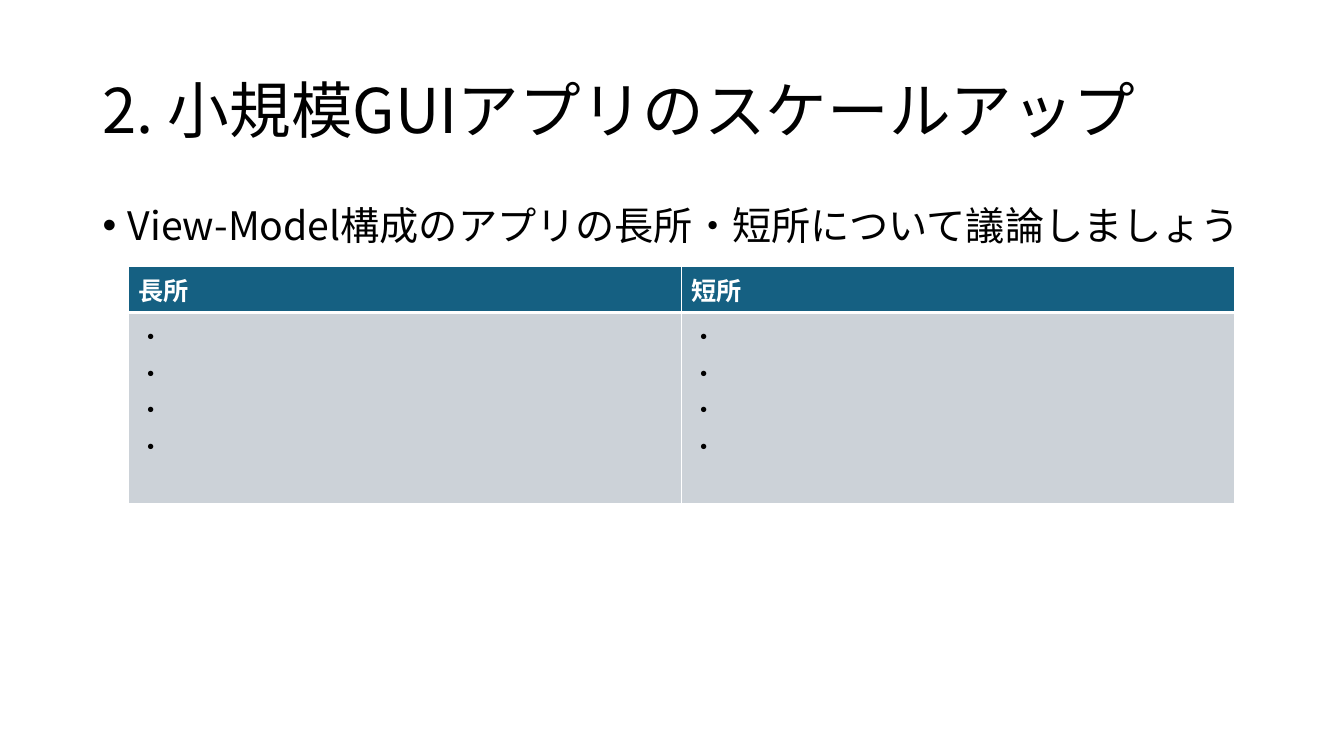
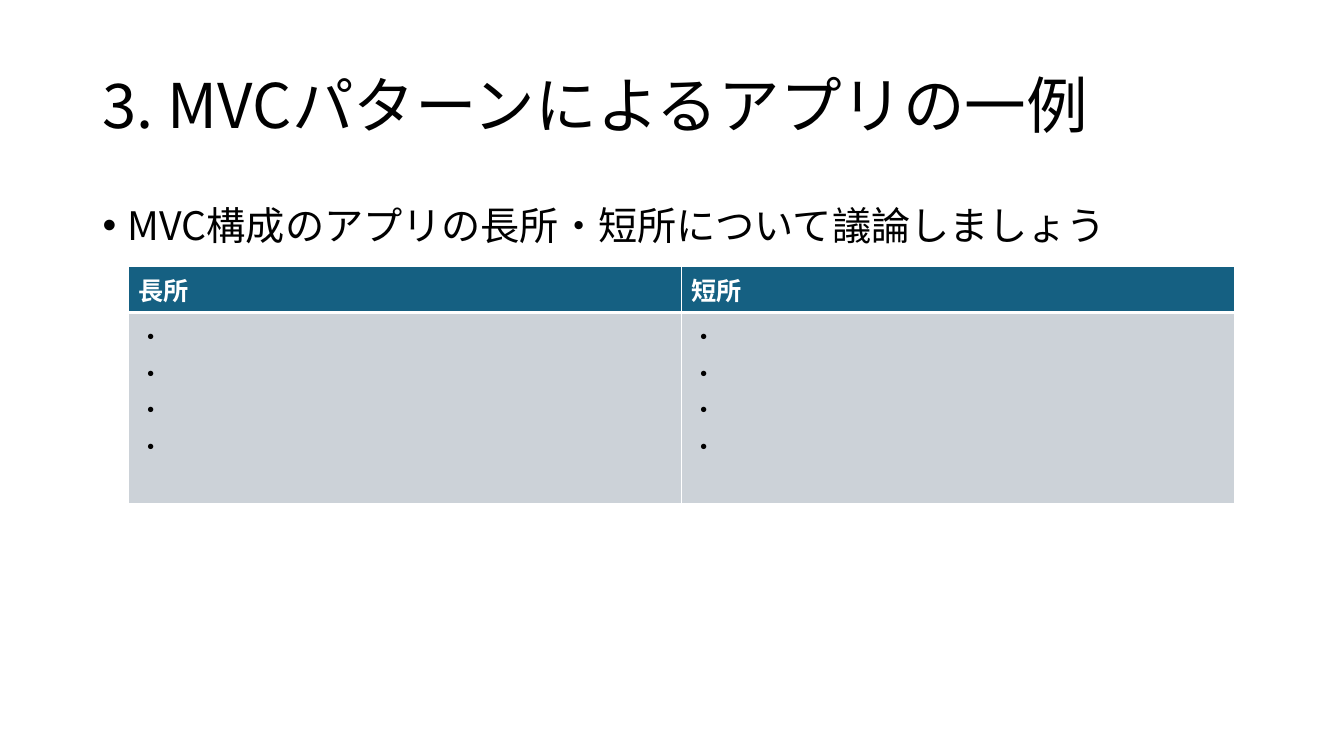
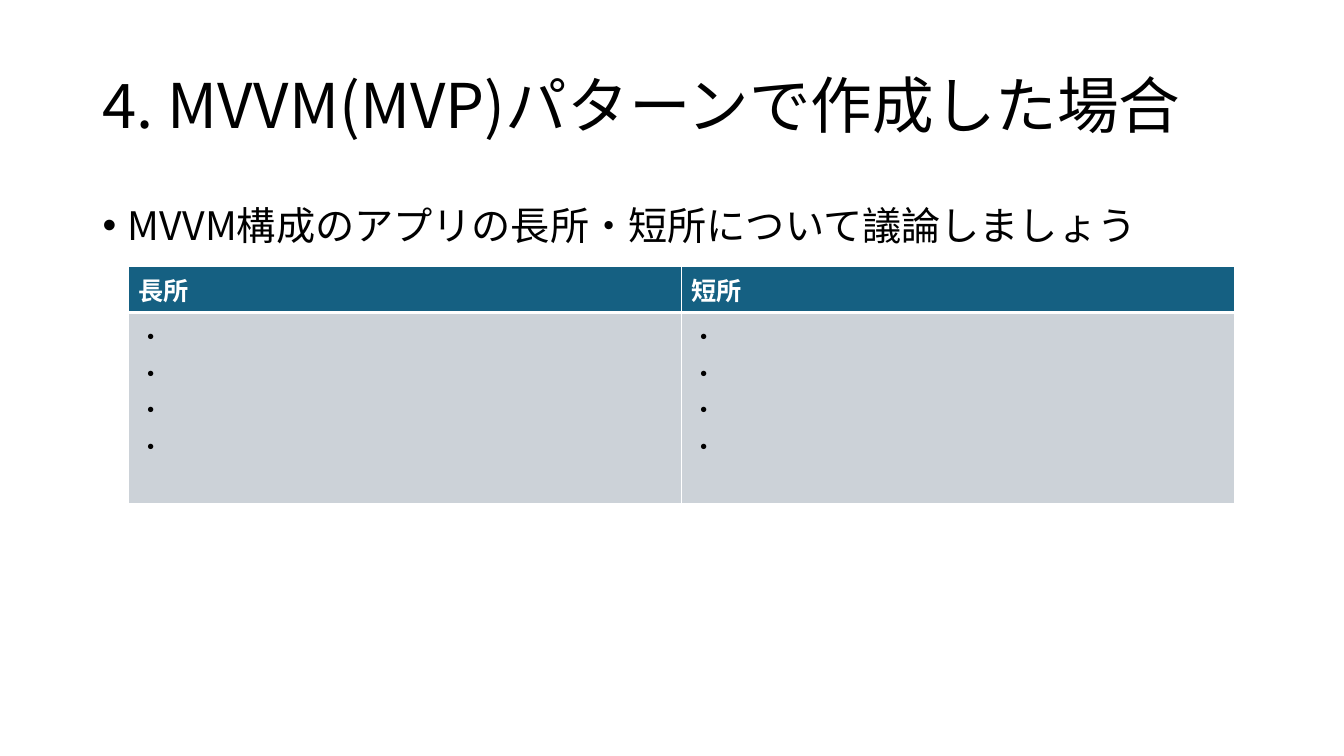
from dataclasses import dataclass

import lxml.etree
import pptx
import pptx.dml.color
import pptx.enum.text
import pptx.oxml.ns
import pptx.util

Inches = pptx.util.Inches
Pt = pptx.util.Pt
qn = pptx.oxml.ns.qn


@dataclass(frozen=True)
class Theme:
    font: str = "Noto Sans CJK JP"
    ink: str = "000000"
    paper: str = "FFFFFF"
    header_fill: str = "156082"
    body_fill: str = "CCD2D8"
    title_size: int = 44
    topic_size: int = 28
    table_size: int = 18
    line_spacing: float = 0.9
    thin_border: float = 1
    thick_border: float = 3


@dataclass(frozen=True)
class Discussion:
    title: str
    topic: str
    title_top: float = 0.35


THEME = Theme()
COLUMN_HEADINGS = ("長所", "短所")
ENTRY_MARKS = ("・",) * 4
DISCUSSIONS = (
    Discussion("2. 小規模GUIアプリのスケールアップ",
               "View-Model構成のアプリの長所・短所について議論しましょう", 0.4),
    Discussion("3. MVCパターンによるアプリの一例",
               "MVC構成のアプリの長所・短所について議論しましょう"),
    Discussion("4. MVVM(MVP)パターンで作成した場合",
               "MVVM構成のアプリの長所・短所について議論しましょう"),
)


def rgb(color: str) -> pptx.dml.color.RGBColor:
    return pptx.dml.color.RGBColor.from_string(color)


# Text
def add_span(para, text: str, size: int, color: str, bold: bool = False) -> None:
    span = para.add_run()
    span.text = text
    span.font.name = THEME.font
    span.font.size = Pt(size)
    span.font.bold = bold
    span.font.color.rgb = rgb(color)
    east_asian = lxml.etree.SubElement(span.font._element, qn("a:ea"))
    east_asian.set("typeface", THEME.font)


def add_text(page, left: float, top: float, width: float, height: float,
             text: str, size: int, anchor):
    box = page.shapes.add_textbox(Inches(left), Inches(top), Inches(width), Inches(height))
    box.text_frame.word_wrap = True
    box.text_frame.vertical_anchor = anchor
    para = box.text_frame.paragraphs[0]
    para.line_spacing = THEME.line_spacing
    add_span(para, text, size, THEME.ink)
    return para


def set_bullet(para, indent: float) -> None:
    properties = para._p.get_or_add_pPr()
    properties.set("marL", str(Inches(indent)))
    properties.set("indent", str(-Inches(indent)))
    font = lxml.etree.SubElement(properties, qn("a:buFont"))
    font.set("typeface", "Arial")
    bullet = lxml.etree.SubElement(properties, qn("a:buChar"))
    bullet.set("char", "•")


# Table
def set_border(cell, side: str, width: float) -> None:
    line = lxml.etree.SubElement(cell._tc.get_or_add_tcPr(), qn(f"a:ln{side}"))
    line.set("w", str(Pt(width)))
    fill = lxml.etree.SubElement(line, qn("a:solidFill"))
    lxml.etree.SubElement(fill, qn("a:srgbClr")).set("val", THEME.paper)


def fill_cell(cell, lines: tuple[str, ...], is_header: bool) -> None:
    divider = "B" if is_header else "T"
    for side in "LRTB":
        set_border(cell, side, THEME.thick_border if side == divider else THEME.thin_border)
    cell.fill.solid()
    cell.fill.fore_color.rgb = rgb(THEME.header_fill if is_header else THEME.body_fill)
    color = THEME.paper if is_header else THEME.ink
    for index, text in enumerate(lines):
        para = cell.text_frame.add_paragraph() if index else cell.text_frame.paragraphs[0]
        add_span(para, text, THEME.table_size, color, is_header)


def add_comparison(page) -> None:
    row_heights = (0.46, 1.9)
    frame = page.shapes.add_table(len(row_heights), len(COLUMN_HEADINGS), Inches(1.27),
                                  Inches(2.64), Inches(10.98), Inches(sum(row_heights)))
    table = frame.table
    table.horz_banding = False
    for row, height in zip(table.rows, row_heights):
        row.height = Inches(height)
    for column, heading in enumerate(COLUMN_HEADINGS):
        fill_cell(table.cell(0, column), (heading,), True)
        fill_cell(table.cell(1, column), ENTRY_MARKS, False)


# Slides
def add_discussion(deck, discussion: Discussion) -> None:
    page = deck.slides.add_slide(deck.slide_layouts[6])
    anchors = pptx.enum.text.MSO_ANCHOR
    add_text(page, 0.92, discussion.title_top, 11.5, 1.45,
             discussion.title, THEME.title_size, anchors.MIDDLE)
    topic = add_text(page, 0.92, 2, 12.22, 4.76,
                     discussion.topic, THEME.topic_size, anchors.TOP)
    topic.space_before = Pt(10)
    set_bullet(topic, 0.25)
    add_comparison(page)


def main() -> None:
    deck = pptx.Presentation()
    deck.slide_width = Inches(13.33)
    deck.slide_height = Inches(7.5)
    for discussion in DISCUSSIONS:
        add_discussion(deck, discussion)
    deck.save("out.pptx")


if __name__ == "__main__":
    main()
